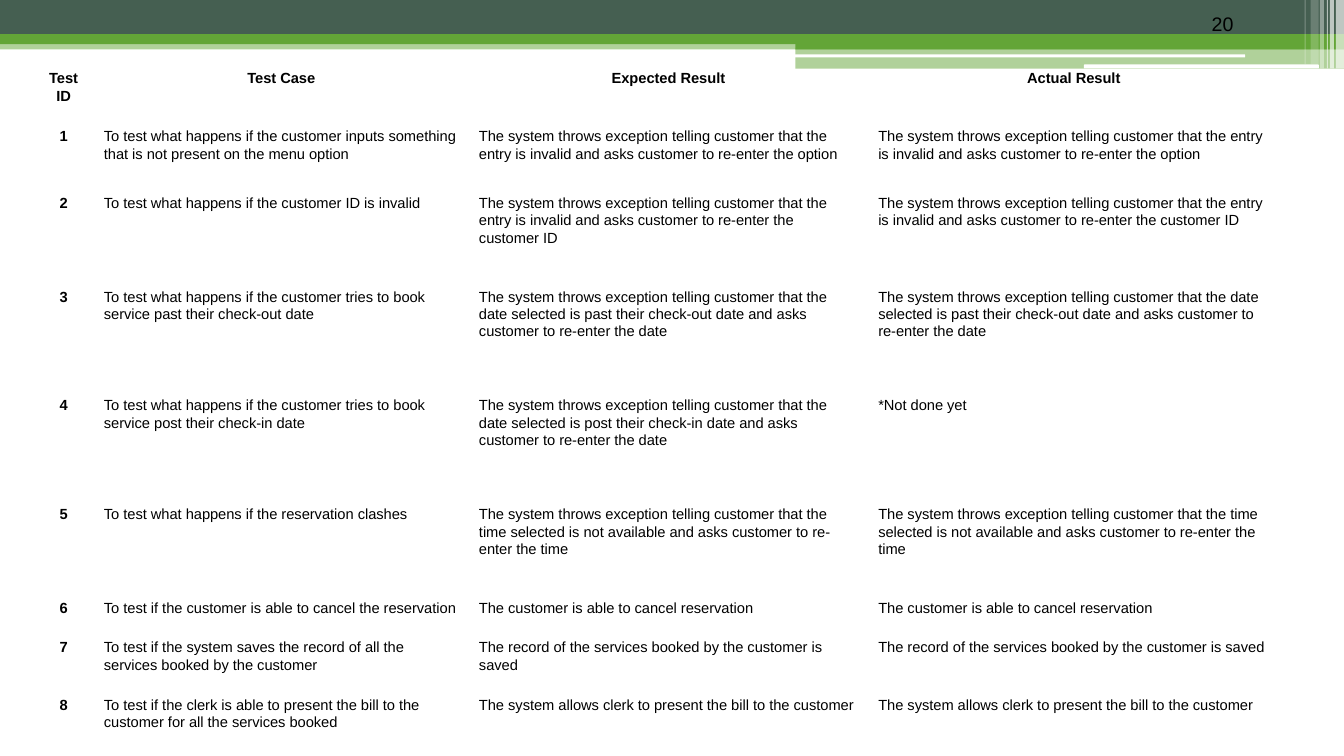
from lxml import etree
from pptx import Presentation
from pptx import util as u
from pptx.dml import color
from pptx.enum import shapes, text
from pptx.oxml import ns

COLORS = {"pine": "455F51", "leaf": "63A537", "white": "FFFFFF", "ink": "000000"}
NO_STYLE = "{2D5ABB26-0587-4C30-8999-92F81FD0307C}"

HEADINGS = ("Test ID", "Test Case", "Expected Result", "Actual Result")
COLUMN_WIDTHS = (4.5, 27.91, 29.71, 30.61)
ROW_HEIGHTS = (7.33, 8.8, 12.4, 14.4, 14.4, 12.4, 4.93, 7.33, 7.33)
INVALID = "The system throws exception telling customer that the entry is invalid and asks customer to re-enter the "
CASES = (
    ("To test what happens if the customer inputs something that is not present on the menu option",
     INVALID + "option"),
    ("To test what happens if the customer ID is invalid",
     INVALID + "customer ID"),
    ("To test what happens if the customer tries to book service past their check-out date",
     "The system throws exception telling customer that the date selected is past their check-out date "
     "and asks customer to re-enter the date"),
    ("To test what happens if the customer tries to book service post their check-in date",
     "The system throws exception telling customer that the date selected is post their check-in date "
     "and asks customer to re-enter the date"),
    ("To test what happens if the reservation clashes",
     "The system throws exception telling customer that the time selected is not available "
     "and asks customer to re-enter the time"),
    ("To test if the customer is able to cancel the reservation",
     "The customer is able to cancel reservation"),
    ("To test if the system saves the record of all the services booked by the customer",
     "The record of the services booked by the customer is saved"),
    ("To test if the clerk is able to present the bill to the customer for all the services booked",
     "The system allows clerk to present the bill to the customer"),
)
ACTUAL = {4: "*Not done yet"}

BANDS = (
    (0, 5.33, 100, 1.2, "leaf", 50),
    (0, 0, 100, 4.53, "pine", 100),
    (0, 4.53, 100, 1.33, "leaf", 100),
    (59.19, 5.2, 40.81, 1.33, "leaf", 100),
    (59.19, 6.4, 40.81, 2.67, "leaf", 50),
)
RULES = ((59.11, 7.2, 33.53, 0.4), (80.65, 8.53, 17.48, 0.53))
STRIPES = (
    (99.4, 0.6, 9.07, 65),
    (98.95, 0.3, 9.07, 65),
    (98.72, 0.08, 9.07, 60),
    (98.2, 0.3, 9.07, 40),
    (97.52, 0.6, 8.53, 20),
    (97.07, 0.08, 8.53, 30),
)


def write(frame, words, size=10.5, bold=False, align=text.PP_ALIGN.LEFT, spacing=1.0):
    """Put formatted words into a text frame."""
    para = frame.paragraphs[0]
    para.alignment = align
    para.line_spacing = spacing
    span = para.add_run()
    span.text = words
    span.font.name = "Arial"
    span.font.size = u.Pt(size)
    span.font.bold = bold
    span.font.color.rgb = color.RGBColor.from_string(COLORS["ink"])


class SlideBuilder:
    """Draw on one slide with lengths in percent of its size."""

    def __init__(self, deck):
        """Add a blank slide to the deck."""
        self.width, self.height = deck.slide_width, deck.slide_height
        self.slide = deck.slides.add_slide(deck.slide_layouts[6])

    def across(self, share):
        """Turn a share of the width into a length."""
        return u.Emu(round(self.width * share / 100))

    def down(self, share):
        """Turn a share of the height into a length."""
        return u.Emu(round(self.height * share / 100))

    def place(self, left, top, width, height):
        """Turn four shares into a position and a size."""
        return self.across(left), self.down(top), self.across(width), self.down(height)

    def block(self, left, top, width, height, fill, opacity=100, rounded=False):
        """Add a plain filled rectangle."""
        kind = shapes.MSO_SHAPE.ROUNDED_RECTANGLE if rounded else shapes.MSO_SHAPE.RECTANGLE
        box = self.slide.shapes.add_shape(kind, *self.place(left, top, width, height))
        box.shadow.inherit = False
        box.line.fill.background()
        box.fill.solid()
        box.fill.fore_color.rgb = color.RGBColor.from_string(COLORS[fill])
        if opacity < 100:
            tint = box._element.spPr.find(".//" + ns.qn("a:srgbClr"))
            etree.SubElement(tint, ns.qn("a:alpha"), val=str(opacity * 1000))

    def label(self, words, left, top, width, height, **style):
        """Add a text box anchored at its bottom."""
        box = self.slide.shapes.add_textbox(*self.place(left, top, width, height))
        box.text_frame.word_wrap = True
        box.text_frame.vertical_anchor = text.MSO_ANCHOR.BOTTOM
        write(box.text_frame, words, **style)

    def table(self, rows, left, top, widths, heights):
        """Add an unstyled table with a bold heading row and first column."""
        frame = self.slide.shapes.add_table(
            len(heights), len(widths), *self.place(left, top, sum(widths), sum(heights)))
        grid = frame.table
        grid.first_row = grid.horz_banding = False
        frame._element.find(".//" + ns.qn("a:tableStyleId")).text = NO_STYLE
        for column, width in zip(grid.columns, widths):
            column.width = self.across(width)
        for row, height in zip(grid.rows, heights):
            row.height = self.down(height)
        for r, row in enumerate(rows):
            for c, words in enumerate(row):
                cell = grid.cell(r, c)
                cell.fill.background()
                cell.margin_left = cell.margin_right = u.Inches(0.1)
                cell.margin_top = cell.margin_bottom = u.Inches(0.1)
                head = r == 0 or c == 0
                align = text.PP_ALIGN.CENTER if head else text.PP_ALIGN.LEFT
                write(cell.text_frame, words, bold=head, align=align, spacing=1.07)


def main():
    """Build the test case slide and save it."""
    deck = Presentation()
    deck.slide_width, deck.slide_height = u.Inches(13.33), u.Inches(7.5)
    page = SlideBuilder(deck)
    for band in BANDS:
        page.block(*band)
    for rule in RULES:
        page.block(*rule, "white", rounded=True)
    for left, width, height, opacity in STRIPES:
        page.block(left, 0, width, height, "white", opacity)
    page.label("20", 89.42, 0, 8.33, 5.33, size=14)
    rows = [HEADINGS]
    for number, (case, expected) in enumerate(CASES, 1):
        rows.append((str(number), case, expected, ACTUAL.get(number, expected)))
    page.table(rows, 2.48, 7.87, COLUMN_WIDTHS, ROW_HEIGHTS)
    deck.save("out.pptx")


if __name__ == "__main__":
    main()
